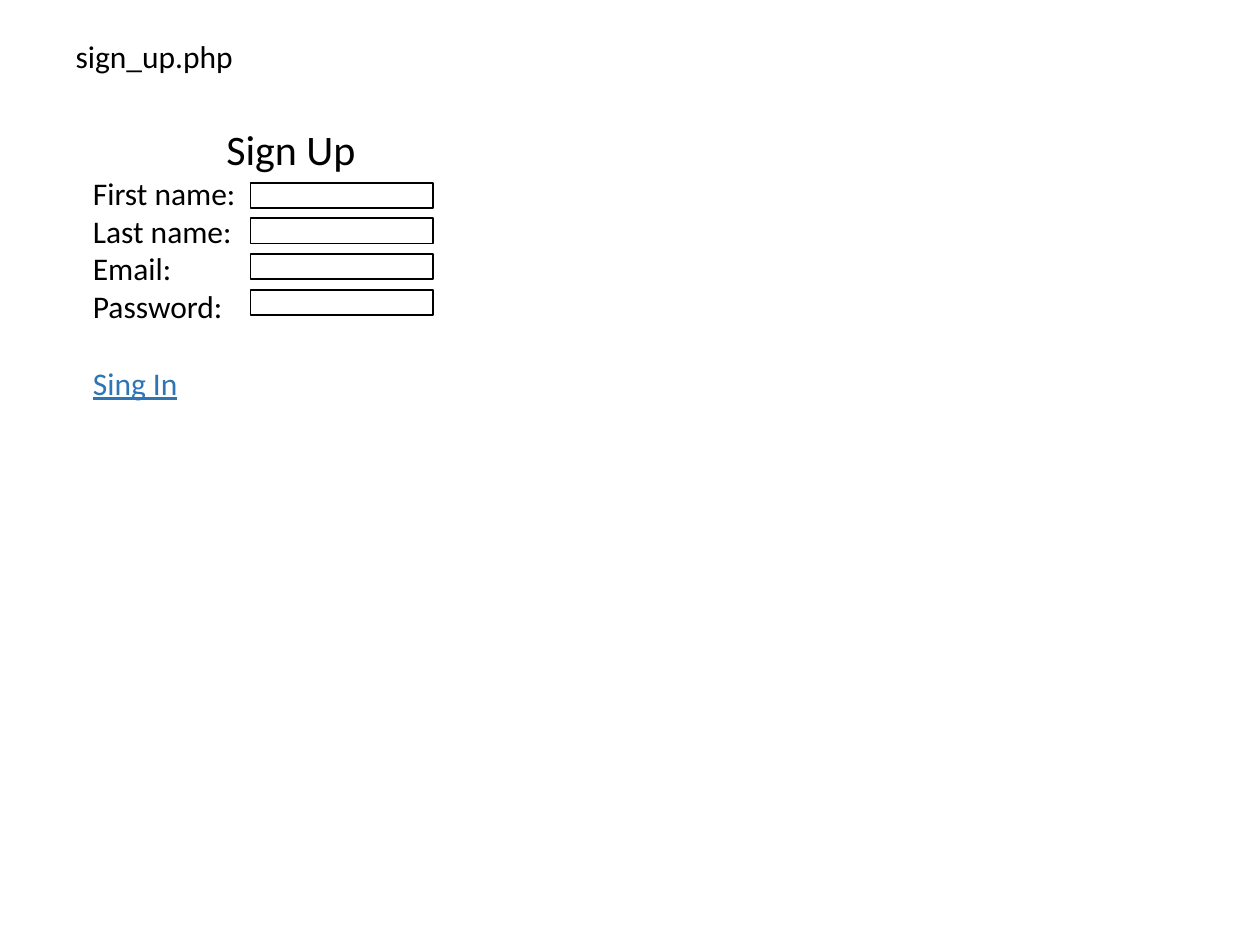
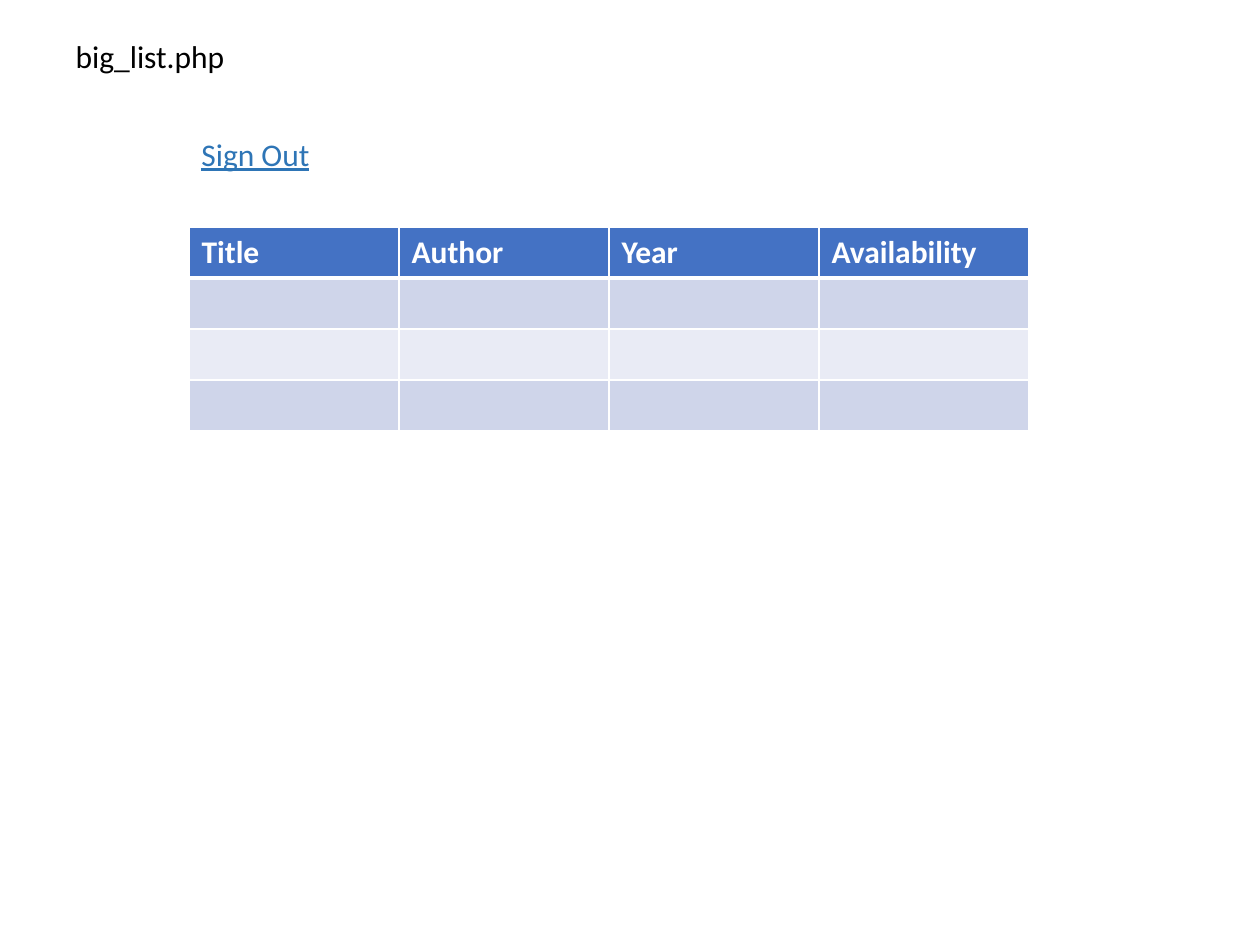
import pptx
import pptx.util
import pptx.dml.color
import pptx.enum.shapes
import pptx.enum.text
import pptx.oxml
import pptx.oxml.ns

Pt = pptx.util.Pt
Align = pptx.enum.text.PP_ALIGN
HUES = {"ink": "000000", "paper": "FFFFFF", "link": "2E75B6",
        "head": "4472C4", "odd": "CFD5EA", "even": "E9EBF5"}


def hue(name):
    return pptx.dml.color.RGBColor.from_string(HUES[name])


class Deck:
    """Page mock-ups in one shared style."""

    def __init__(self):
        self.show = pptx.Presentation()
        self.show.slide_width, self.show.slide_height = Pt(720), Pt(540)
        self.slide = None

    def style(self, para, size=18, color="ink", bold=False, line=False,
              align=Align.LEFT):
        para.alignment = align
        font = para.font
        font.name, font.size, font.bold = "Calibri", Pt(size), bold
        font.underline = line
        font.color.rgb = hue(color)

    def page(self, name):
        self.slide = self.show.slides.add_slide(self.show.slide_layouts[5])
        title = self.slide.shapes.title
        title.left, title.top = Pt(36), Pt(17.3)
        title.width, title.height = Pt(176.4), Pt(29)
        frame = title.text_frame
        frame.text = name
        frame.auto_size = pptx.enum.text.MSO_AUTO_SIZE.NONE
        frame.vertical_anchor = pptx.enum.text.MSO_ANCHOR.TOP
        self.style(frame.paragraphs[0])

    def text(self, x, y, w, h, lines):
        box = self.slide.shapes.add_textbox(Pt(x), Pt(y), Pt(w), Pt(h))
        frame = box.text_frame
        frame.word_wrap = True
        frame.text = "\n".join(words for words, _ in lines)
        for para, (_, look) in zip(frame.paragraphs, lines):
            self.style(para, **look)
        return frame

    def field(self, x, y, w, h):
        box = self.slide.shapes.add_shape(
            pptx.enum.shapes.MSO_SHAPE.RECTANGLE, Pt(x), Pt(y), Pt(w), Pt(h))
        box.shadow.inherit = False
        box.fill.solid()
        box.fill.fore_color.rgb = hue("paper")
        box.line.color.rgb = hue("ink")
        box.line.width = Pt(1)

    def edge(self, cell, side, width):
        cell._tc.get_or_add_tcPr().append(pptx.oxml.parse_xml(
            f'<a:ln{side} {pptx.oxml.ns.nsdecls("a")} w="{Pt(width)}">'
            f'<a:solidFill><a:srgbClr val="{HUES["paper"]}"/></a:solidFill>'
            f'</a:ln{side}>'))

    def table(self, x, y, w, h, heads, count):
        grid = self.slide.shapes.add_table(
            count + 1, len(heads), Pt(x), Pt(y), Pt(w), Pt(h)).table
        for r in range(count + 1):
            band = "head" if r == 0 else "odd" if r % 2 else "even"
            for c, head in enumerate(heads):
                cell = grid.cell(r, c)
                cell.text = head if r == 0 else ""
                self.style(cell.text_frame.paragraphs[0], bold=r == 0,
                           color="paper" if r == 0 else "ink")
                for side in "LRTB":
                    rule = (r, side) in ((0, "B"), (1, "T"))
                    self.edge(cell, side, 3 if rule else 1)
                cell.fill.solid()
                cell.fill.fore_color.rgb = hue(band)


def main():
    deck = Deck()
    link = {"color": "link", "line": True}

    deck.page("sign_up.php")
    labels = ["First name:", "Last name:", "Email:", "Password:"]
    form = deck.text(46, 67, 240.5, 167, [
        ("Sign Up", {"size": 24, "align": Align.CENTER}),
        *((label, {}) for label in labels),
        ("Sing In", link)])
    form.paragraphs[-1].space_before = Pt(22)
    for i in range(len(labels)):
        deck.field(143.2, 104.4 + 20.4 * i, 104.4, 14.4)

    deck.page("big_list.php")
    deck.table(108, 129.6, 480, 116.8,
               ["Title", "Author", "Year", "Availability"], 3)
    deck.text(108, 73.4, 80.6, 29, [("Sign Out", link)])

    deck.show.save("out.pptx")


if __name__ == "__main__":
    main()
